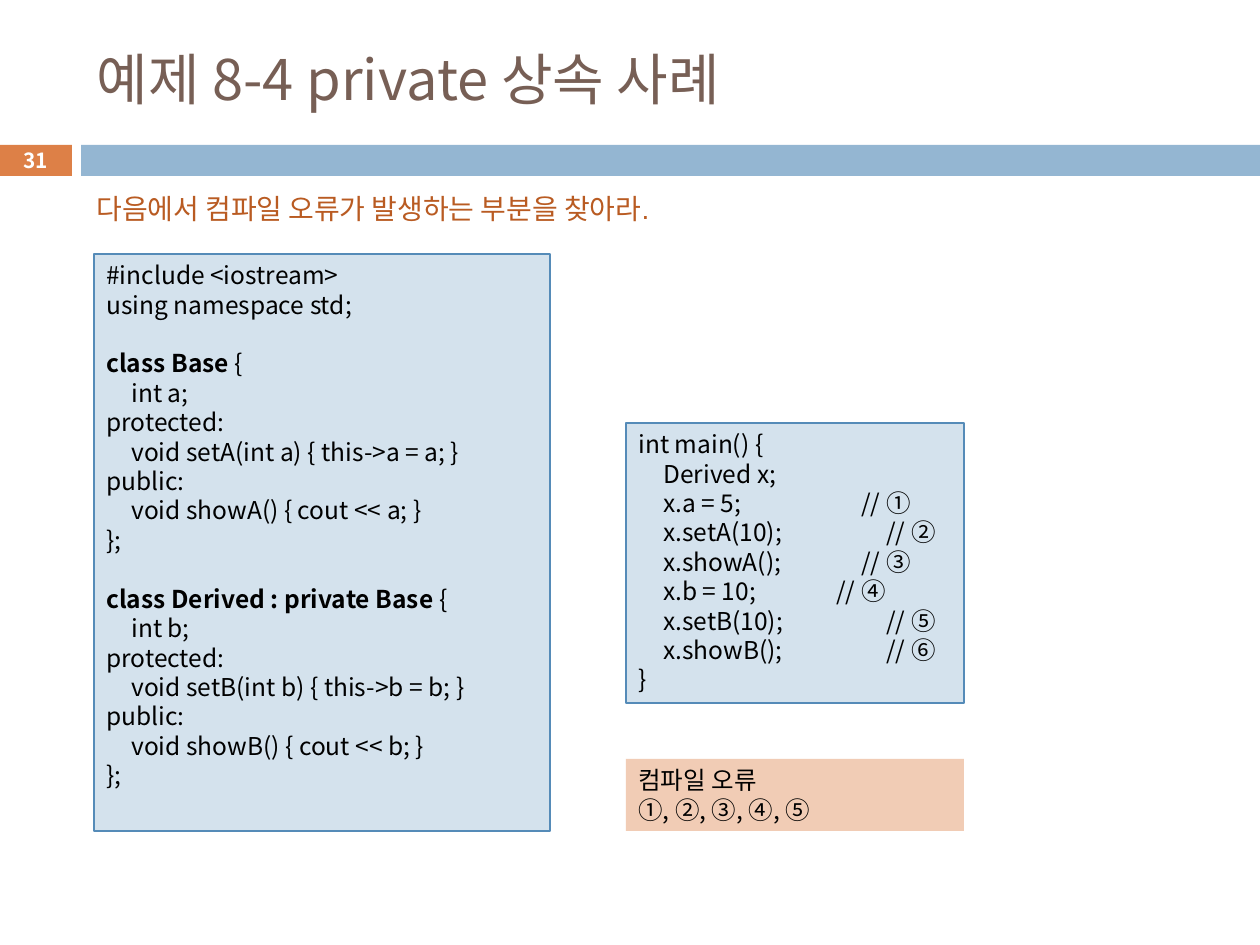
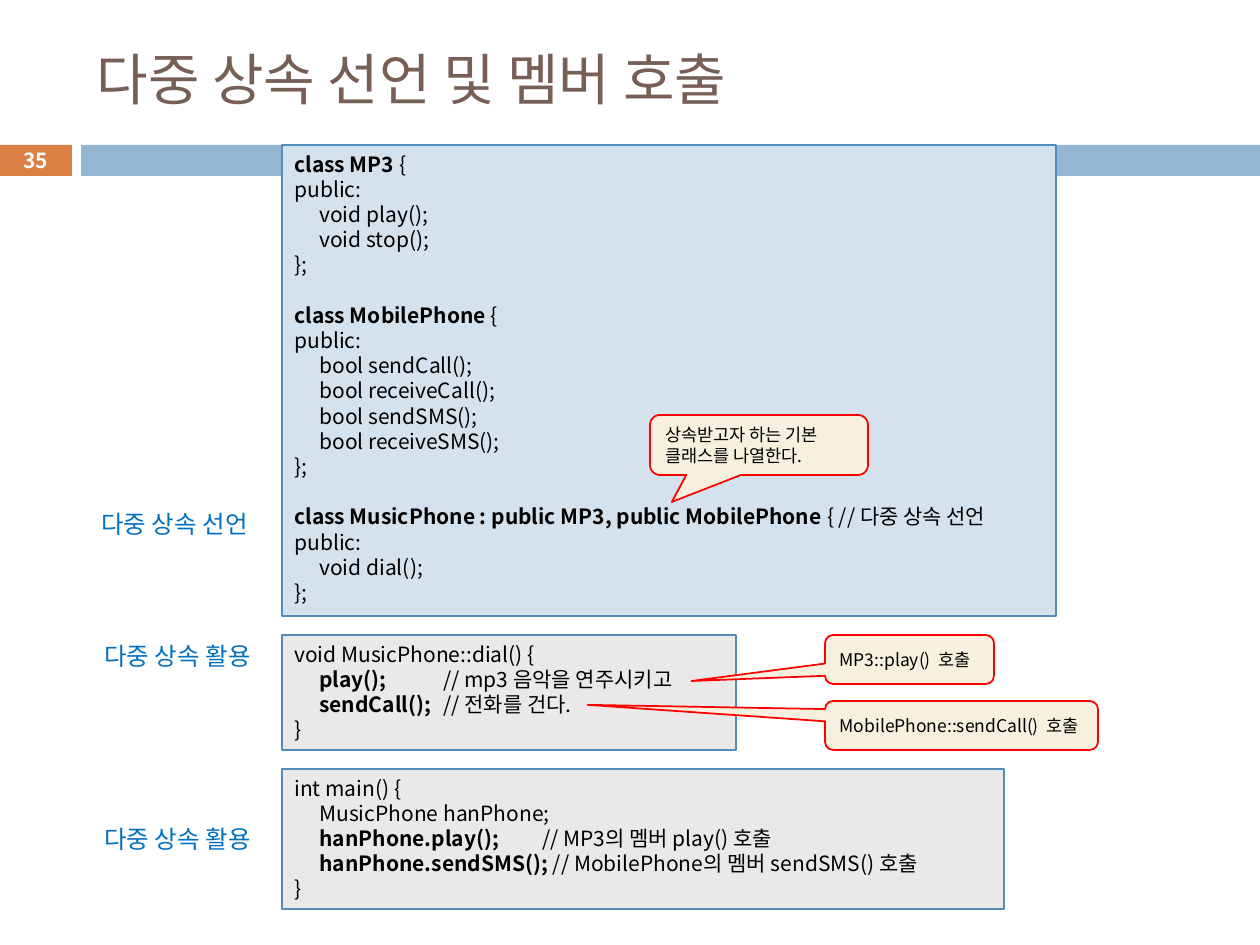
"""Builds two lecture slides on private and multiple inheritance in C++."""
from lxml import etree
from pptx import Presentation
from pptx.dml.color import RGBColor
from pptx.enum.shapes import MSO_SHAPE
from pptx.enum.text import MSO_ANCHOR, MSO_AUTO_SIZE, PP_ALIGN
from pptx.oxml.ns import qn
from pptx.util import Pt

RECT = MSO_SHAPE.RECTANGLE
CALLOUT = MSO_SHAPE.ROUNDED_RECTANGULAR_CALLOUT
TOP, MIDDLE = MSO_ANCHOR.TOP, MSO_ANCHOR.MIDDLE
LEFT, CENTER = PP_ALIGN.LEFT, PP_ALIGN.CENTER
NO_FIT = MSO_AUTO_SIZE.NONE

ORANGE = RGBColor(0xDD, 0x80, 0x47)
BAND_BLUE = RGBColor(0x94, 0xB6, 0xD2)
BROWN = RGBColor(0x77, 0x5F, 0x55)
RUST = RGBColor(0xB9, 0x5B, 0x22)
PALE_BLUE = RGBColor(0xD4, 0xE2, 0xED)
EDGE_BLUE = RGBColor(0x55, 0x8B, 0xB8)
PEACH = RGBColor(0xF1, 0xCC, 0xB5)
PALE_GREY = RGBColor(0xEA, 0xE8, 0xE8)
CREAM = RGBColor(0xF7, 0xF0, 0xDE)
RED = RGBColor(0xFF, 0x00, 0x00)
LABEL_BLUE = RGBColor(0x00, 0x70, 0xC0)
BLACK = RGBColor(0x00, 0x00, 0x00)
WHITE = RGBColor(0xFF, 0xFF, 0xFF)

FONT = "Noto Sans CJK KR"
PX = 914400 / 126
LINE_RATIO = 1.2
INDENT = 25

BASE_AND_DERIVED = """#include <iostream>
using namespace std;

**class Base **{
\tint a;
protected:
\tvoid setA(int a) { this->a = a; }
public:
\tvoid showA() { cout << a; }
};

**class Derived : private Base **{
\tint b;
protected:
\tvoid setB(int b) { this->b = b; }
public:
\tvoid showB() { cout << b; }
};"""

PRIVATE_MAIN = """int main() {
\tDerived x;
\tx.a = 5;\t\t// ①
\tx.setA(10);\t\t\t// ②
\tx.showA();\t\t// ③
\tx.b = 10;\t// ④
\tx.setB(10);\t\t\t// ⑤
\tx.showB();\t\t\t// ⑥
}"""

PHONE_CLASSES = """**class MP3 **{
public:
\tvoid play();
\tvoid stop();
};

**class MobilePhone **{
public:
\tbool sendCall();
\tbool receiveCall();
\tbool sendSMS();
\tbool receiveSMS();
};

**class MusicPhone : public MP3, public MobilePhone **{ // 다중 상속 선언
public:
\tvoid dial();
};"""

DIAL = """void MusicPhone::dial() {
\t**play();**\t// mp3 음악을 연주시키고
\t**sendCall();**\t// 전화를 건다.
}"""

PHONE_MAIN = """int main() {
\tMusicPhone hanPhone;
\t**hanPhone.play();**\t// MP3의 멤버 play() 호출
\t**hanPhone.sendSMS(); **// MobilePhone의 멤버 sendSMS() 호출
}"""


def write_text(shape, text, size, color=BLACK, anchor=TOP, align=LEFT,
               stops=(), bold=False, font=FONT):
    frame = shape.text_frame
    frame_format = {"word_wrap": True, "auto_size": NO_FIT, "vertical_anchor": anchor}
    for name, value in frame_format.items():
        setattr(frame, name, value)
    line_height = Pt(size * LINE_RATIO)
    after_gap = False
    for index, line in enumerate(text.split("\n")):
        if not line:
            after_gap = True
            continue
        para = frame.add_paragraph() if index else frame.paragraphs[0]
        para_format = {"alignment": align, "line_spacing": line_height,
                       "space_before": line_height if after_gap else Pt(0)}
        for name, value in para_format.items():
            setattr(para, name, value)
        after_gap = False
        if stops:
            tabs = etree.SubElement(para._p.get_or_add_pPr(), qn("a:tabLst"))
            for stop in stops:
                etree.SubElement(tabs, qn("a:tab"), pos=str(round(stop * PX)), algn="l")
        for part, words in enumerate(line.split("**")):
            if not words:
                continue
            span = para.add_run()
            span.text = words
            span_format = {"size": Pt(size), "bold": bold or part % 2 == 1, "name": font}
            for name, value in span_format.items():
                setattr(span.font, name, value)
            span.font.color.rgb = color
            etree.SubElement(span._r.get_or_add_rPr(), qn("a:ea"), typeface=FONT)


def add_box(page, place, fill=None, edge=None, width=0.75, kind=RECT):
    left, top, wide, high = [round(length * PX) for length in place]
    if fill is None:
        return page.shapes.add_textbox(left, top, wide, high)
    box = page.shapes.add_shape(kind, left, top, wide, high)
    box.shadow.inherit = False
    box.fill.solid()
    box.fill.fore_color.rgb = fill
    if edge is None:
        box.line.fill.background()
    else:
        box.line.color.rgb = edge
        box.line.width = Pt(width)
    return box


deck = Presentation()
deck.slide_width = round(1260 * PX)
deck.slide_height = round(945 * PX)

pages = []
for number, heading in (("31", "예제 8-4 private 상속 사례"),
                        ("35", "다중 상속 선언 및 멤버 호출")):
    page = deck.slides.add_slide(deck.slide_layouts[5])
    add_box(page, (-1, 145, 73, 31), ORANGE)
    add_box(page, (81, 145, 1179, 31), BAND_BLUE)
    title = page.shapes.title
    title_place = {"left": 84, "top": 31, "width": 1124, "height": 94}
    for name, length in title_place.items():
        setattr(title, name, round(length * PX))
    write_text(title, heading, 32, BROWN, MIDDLE)
    number_box = add_box(page, (-1, 143, 73, 34))
    write_text(number_box, number, 11.9, WHITE, MIDDLE, CENTER, bold=True)
    pages.append(page)
private_page, multiple_page = pages

code_boxes = (
    (private_page, (94, 254, 456, 577), PALE_BLUE, BASE_AND_DERIVED, 14, (INDENT,)),
    (private_page, (626, 423, 338, 280), PALE_BLUE, PRIVATE_MAIN, 14,
     (INDENT, 198, 223, 248)),
    (multiple_page, (282, 145, 774, 471), PALE_BLUE, PHONE_CLASSES, 12, (INDENT,)),
    (multiple_page, (282, 635, 454, 115), PALE_GREY, DIAL, 12, (INDENT, 149)),
    (multiple_page, (282, 769, 722, 140), PALE_GREY, PHONE_MAIN, 12, (INDENT, 248)),
)
for page, place, fill, code, size, stops in code_boxes:
    code_box = add_box(page, place, fill, EDGE_BLUE)
    write_text(code_box, code, size, stops=stops)

question = add_box(private_page, (84, 185, 646, 47))
write_text(question, "다음에서 컴파일 오류가 발생하는 부분을 찾아라.", 16, RUST, font="Arial")
answer = add_box(private_page, (626, 759, 338, 72), PEACH)
write_text(answer, "컴파일 오류\n①, ②, ③, ④, ⑤", 14)

callouts = (
    ((650, 415, 218, 60), (-0.4, 0.95), "상속받고자 하는 기본 클래스를 나열한다."),
    ((825, 635, 169, 49), (-1.29, 0.44), "MP3::play()  호출"),
    ((825, 701, 273, 49), (-1.37, -0.42), "MobilePhone::sendCall()  호출"),
)
for place, tip, remark in callouts:
    callout = add_box(multiple_page, place, CREAM, RED, 1, CALLOUT)
    callout.adjustments[0], callout.adjustments[1] = tip
    write_text(callout, remark, 10, anchor=MIDDLE)

for left, top, label in ((89, 503, "다중 상속 선언"),
                         (92, 635, "다중 상속 활용"),
                         (92, 818, "다중 상속 활용")):
    label_box = add_box(multiple_page, (left, top, 192, 43))
    write_text(label_box, label, 14, LABEL_BLUE)

deck.save("out.pptx")
